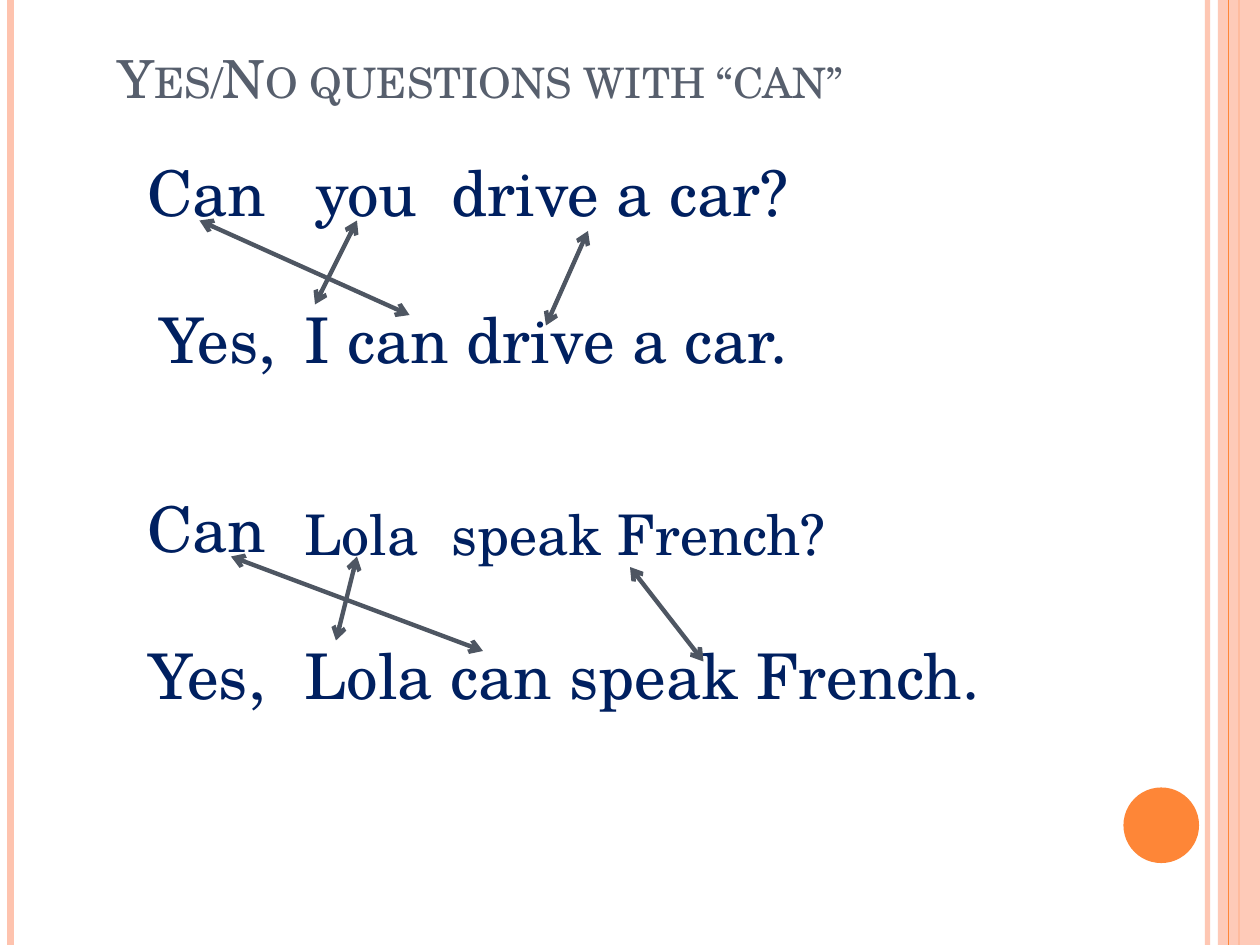
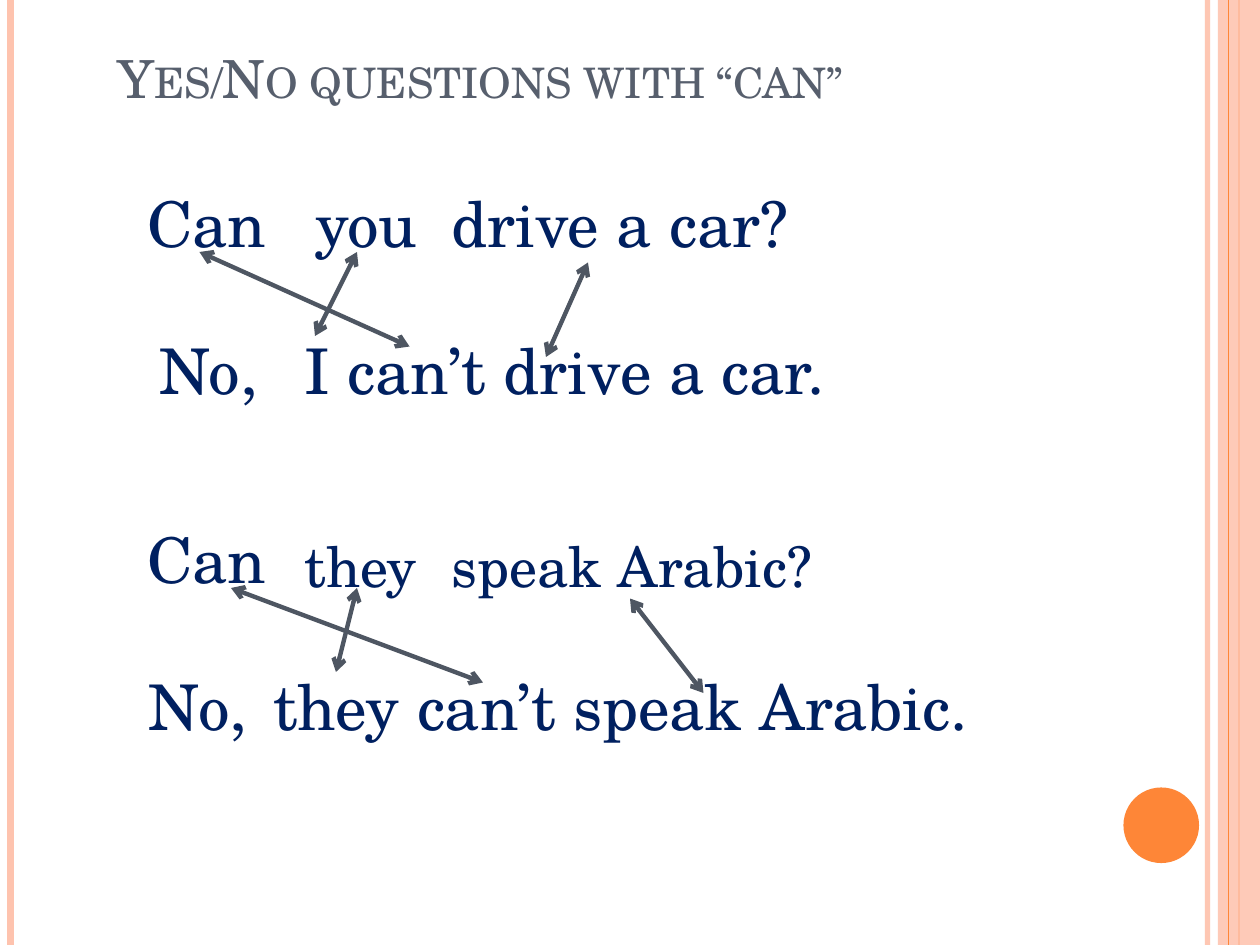
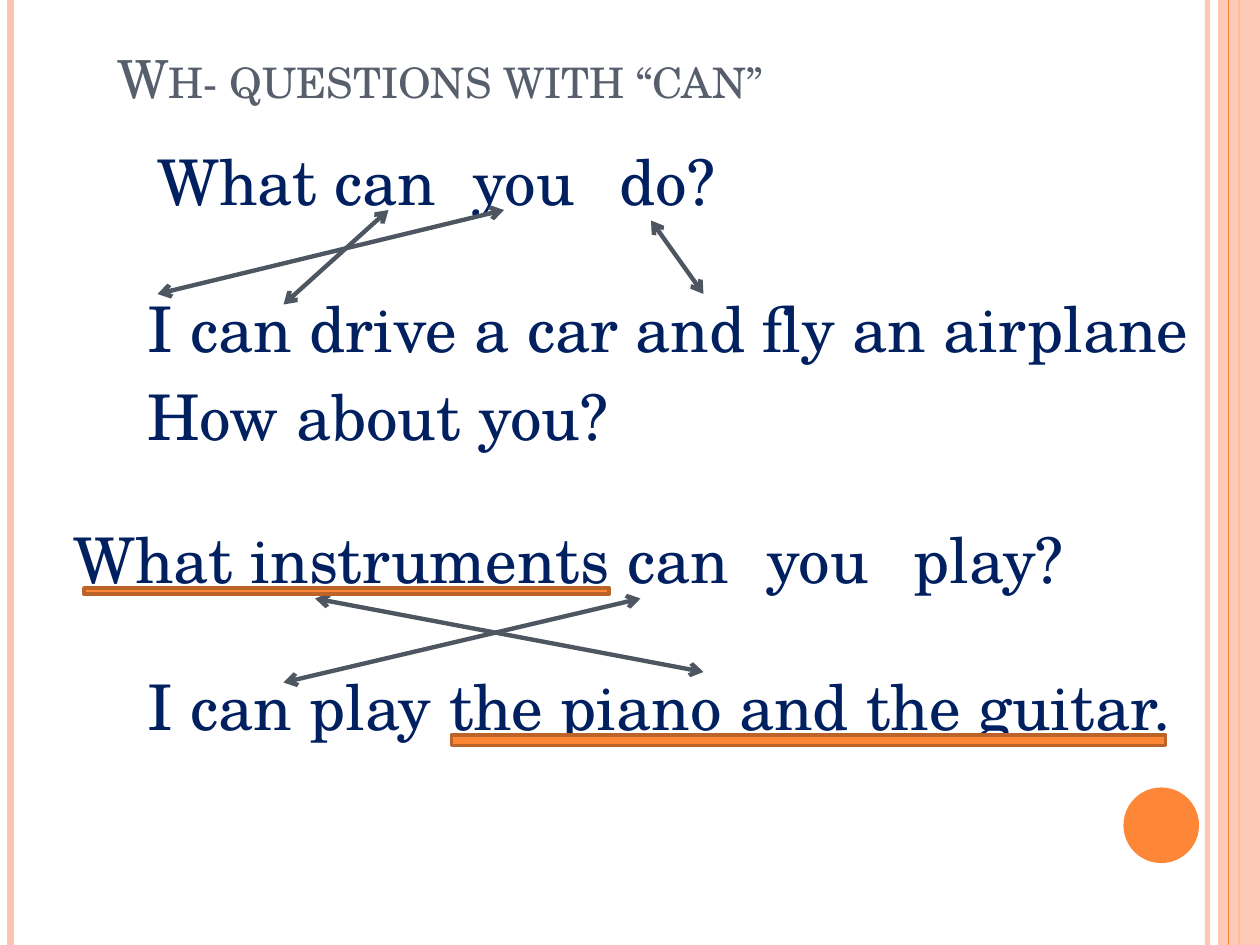
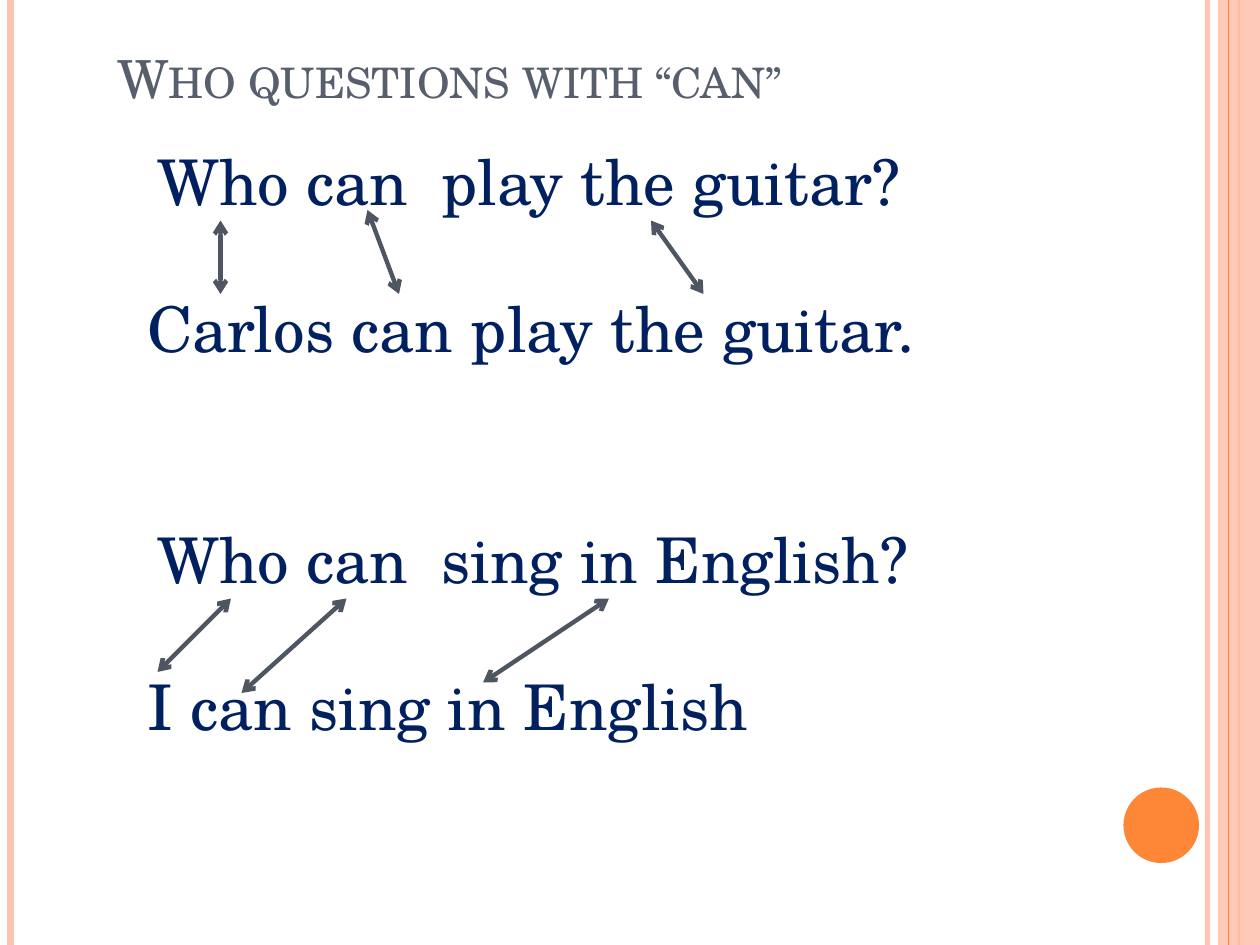
import pptx
import pptx.util
import pptx.dml.color
import pptx.enum.shapes
import pptx.enum.text
import pptx.oxml.ns
from lxml import etree

Pt = pptx.util.Pt
RGB = pptx.dml.color.RGBColor
SHAPE = pptx.enum.shapes.MSO_SHAPE
LINE = pptx.enum.shapes.MSO_CONNECTOR
ANCHOR = pptx.enum.text.MSO_ANCHOR
qn = pptx.oxml.ns.qn

FONT = "TeX Gyre Schola"
PEACH = RGB(0xFE, 0xC3, 0xAE)
ORANGE = RGB(0xFE, 0x86, 0x37)
BROWN = RGB(0xBC, 0x63, 0x29)
GRAY = RGB(0x57, 0x5F, 0x6D)
SLATE = RGB(0x4E, 0x56, 0x62)
NAVY = RGB(0x00, 0x20, 0x60)
WIDE, HIGH = 720, 540
HANG = (32.4, -27.4)
REPLY = (21.6, -21.6)


def fade(element, percent):
    color = next(element.iter(qn("a:srgbClr")))
    etree.SubElement(color, qn("a:alpha"), val=str(percent * 1000))


def write(frame, text, *, size=36, color=NAVY, indent=HANG, caps=False,
          anchor=ANCHOR.TOP):
    frame.word_wrap = True
    frame.vertical_anchor = anchor
    for index, words in enumerate(text.split("\n")):
        para = frame.paragraphs[0] if index == 0 else frame.add_paragraph()
        if index:
            para.space_before = Pt(7)
        props = para._p.get_or_add_pPr()
        props.set("marL", str(Pt(indent[0])))
        props.set("indent", str(Pt(indent[1])))
        run = para.add_run()
        run.text = words
        run.font.name = FONT
        run.font.size = Pt(size)
        run.font.color.rgb = color
        if caps:
            run.font._element.set("cap", "small")


class Deck:
    def __init__(self):
        self.show = pptx.Presentation()
        self.show.slide_width = Pt(WIDE)
        self.show.slide_height = Pt(HIGH)
        self.slide = None

    def start(self, title):
        self.slide = self.show.slides.add_slide(self.show.slide_layouts[6])
        self.line((690, 0), (690, HIGH), PEACH, 3, alpha=93)
        self.line((6, 0), (6, HIGH), PEACH, 4.5)
        self.line((708, 0), (708, HIGH), ORANGE, 1.5)
        self.shape(SHAPE.RECTANGLE, (696, 0, 24, HIGH), PEACH, alpha=87)
        self.line((702, 0), (702, HIGH), ORANGE, 0.75)
        self.shape(SHAPE.OVAL, (642, 450, 43.2, 43.2), ORANGE)
        self.text(title, 60, 18, 624, 48, size=30, color=GRAY,
                  indent=(0, 0), caps=True, anchor=ANCHOR.BOTTOM)

    def text(self, words, left, top, width, height, **style):
        box = self.slide.shapes.add_textbox(
            Pt(left), Pt(top), Pt(width), Pt(height))
        write(box.text_frame, words, **style)

    def shape(self, kind, place, fill, edge=None, alpha=None):
        item = self.slide.shapes.add_shape(kind, *map(Pt, place))
        item.shadow.inherit = False
        item.fill.solid()
        item.fill.fore_color.rgb = fill
        if alpha:
            fade(item._element.spPr, alpha)
        if edge:
            item.line.color.rgb = edge
            item.line.width = Pt(2)
        else:
            item.line.fill.background()

    def line(self, start, end, color, width, alpha=None):
        item = self.slide.shapes.add_connector(
            LINE.STRAIGHT, *map(Pt, start + end))
        item.line.color.rgb = color
        item.line.width = Pt(width)
        props = item._element.spPr
        if alpha:
            fade(props, alpha)
        etree.SubElement(props, qn("a:effectLst"))
        return item

    def arrow(self, start, end):
        item = self.line(start, end, SLATE, 2.5)
        stroke = item.line._get_or_add_ln()
        for tip in ("a:headEnd", "a:tailEnd"):
            etree.SubElement(stroke, qn(tip), type="arrow")

    def bar(self, *place):
        self.shape(SHAPE.RECTANGLE, place, ORANGE, edge=BROWN)


def yes_no(deck, top, reply, drive, who, ask, answer, left, width):
    deck.start("Yes/No questions with “can”")
    deck.text(reply, 84, top + 84, 102, 66, indent=REPLY)
    deck.text("Can", 72, top, 102, 66)
    deck.text("you", 168, top, 102, 57.6)
    deck.text("drive a car?", 246, top, 264, 63.6)
    deck.text(drive, 162, top + 84, 414, 63.6)
    deck.text(reply, 78, top + 276, 102, 66, indent=REPLY)
    deck.text("Can", 72, top + 192, 102, 90)
    deck.text(who, 162, top + 198, 108, 63.6, size=32)
    deck.text(ask, 246, top + 198, 294, 63.6, size=32)
    deck.text(answer, left, top + 276, width, 63.6)
    for x1, y1, x2, y2 in (
            (114, 42, 234, 96), (204, 42, 180, 90), (336, 48, 312, 102),
            (132, 234, 276, 288), (204, 234, 192, 282), (360, 240, 402, 294)):
        deck.arrow((x1, top + y1), (x2, top + y2))


def what(deck):
    deck.start("Wh- questions with “can”")
    deck.text("What can", 78, 78, 228, 66)
    deck.text("you", 258, 78, 102, 57.6)
    deck.text("do?", 342, 78, 264, 63.6)
    deck.text("I can drive a car and fly an airplane\nHow about you?",
              72, 162, 618, 108)
    deck.text("What instruments can", 30, 294, 462, 66)
    deck.text("you", 426, 294, 88, 57.6)
    deck.text("play?", 510, 294, 114, 63.6)
    deck.text("I can play the piano and the guitar.", 72, 378, 618, 108)
    deck.arrow((222, 120), (162, 174))
    deck.arrow((288, 120), (90, 168))
    deck.arrow((372, 126), (402, 168))
    deck.arrow((366, 342), (162, 390))
    deck.arrow((180, 342), (402, 384))
    deck.bar(48, 336, 300, 3.6)
    deck.bar(258, 420, 408, 6)


def who(deck):
    deck.start("Who questions with “can”")
    for top, ask, answer in (
            (78, "play the guitar?", "Carlos can play the guitar."),
            (294, "sing in English?", "I can sing in English")):
        deck.text("Who can", 78, top, 228, 66)
        deck.text(ask, 240, top, 420, 57.6)
        deck.text(answer, 72, top + 84, 618, 108)
    deck.arrow((210, 120), (228, 168))
    deck.arrow((126, 126), (126, 168))
    deck.arrow((372, 126), (402, 168))
    deck.arrow((198, 342), (138, 396))
    deck.arrow((132, 342), (90, 384))
    deck.arrow((348, 342), (276, 390))


def main():
    deck = Deck()
    yes_no(deck, 84, "Yes,", "I can drive a car.", "Lola",
           "speak French?", "Lola can speak French.", 162, 414)
    yes_no(deck, 102, "No,", "I can’t drive a car.", "they",
           "speak Arabic?", "they can’t speak Arabic.", 144, 450)
    what(deck)
    who(deck)
    deck.show.save("out.pptx")


if __name__ == "__main__":
    main()
